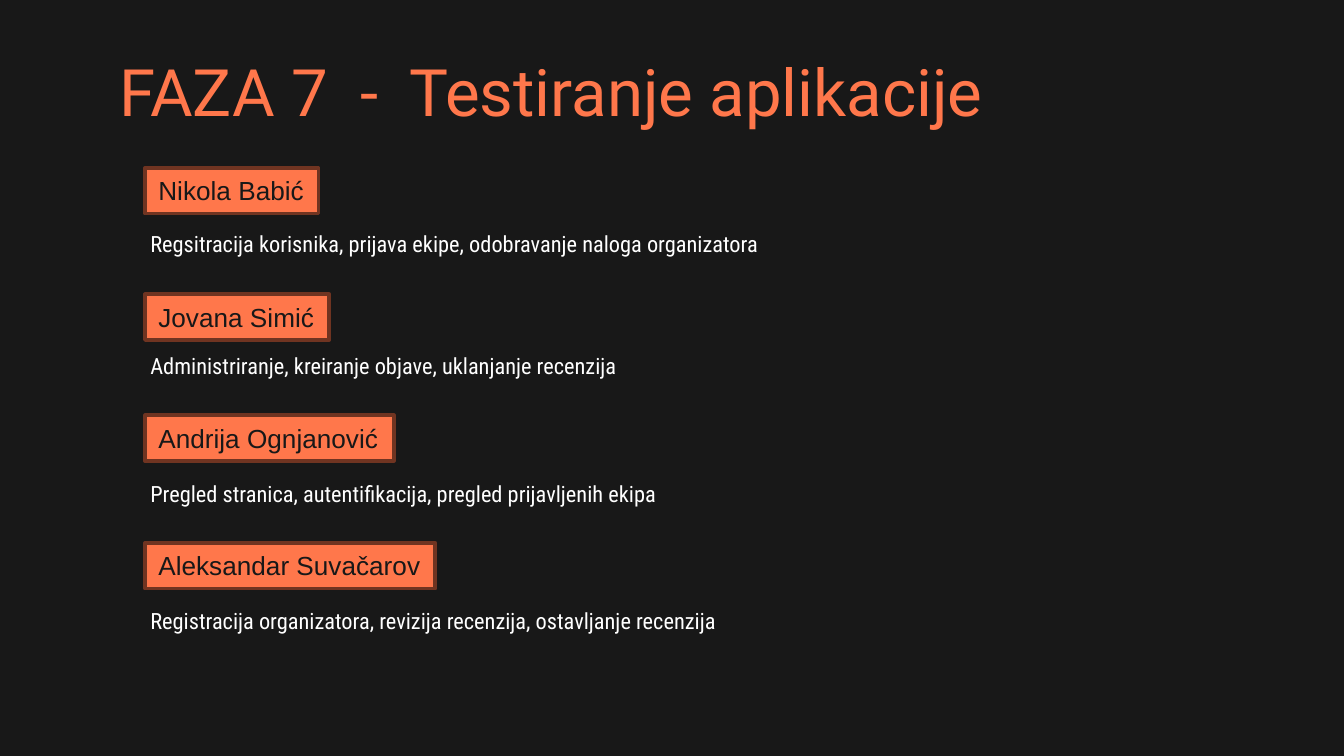
from pptx import Presentation
from pptx.dml.color import RGBColor
from pptx.enum import shapes, text
from pptx.util import Inches, Pt

ORANGE, BROWN, DARK, WHITE = "FF774B", "703421", "181818", "FFFFFF"

# name, tag width, tag top, task top, task
TEAM = [
    ("Nikola Babić", 1.29, 1.25, 1.66,
     "Regsitracija korisnika, prijava ekipe, odobravanje naloga organizatora"),
    ("Jovana Simić", 1.37, 2.19, 2.57,
     "Administriranje, kreiranje objave, uklanjanje recenzija"),
    ("Andrija Ognjanović", 1.85, 3.09, 3.52,
     "Pregled stranica, autentifikacija, pregled prijavljenih ekipa"),
    ("Aleksandar Suvačarov", 2.16, 4.04, 4.47,
     "Registracija organizatora, revizija recenzija, ostavljanje recenzija"),
]


def color(code):
    return RGBColor.from_string(code)


def write(shape, words, size, font, ink, wrap=True, grow=True, middle=False):
    frame = shape.text_frame
    frame.word_wrap = wrap
    if grow:
        frame.auto_size = text.MSO_AUTO_SIZE.SHAPE_TO_FIT_TEXT
    frame.vertical_anchor = text.MSO_ANCHOR.MIDDLE if middle else text.MSO_ANCHOR.TOP
    para = frame.paragraphs[0]
    para.alignment = text.PP_ALIGN.LEFT
    run = para.add_run()
    run.text = words
    run.font.size = Pt(size)
    run.font.name = font
    run.font.color.rgb = color(ink)


def add_title(slide, box, words):
    title = slide.shapes.add_textbox(*map(Inches, box))
    frame = title.text_frame
    frame.margin_top = frame.margin_bottom = Inches(0.1)
    write(title, words, 35, "Roboto", ORANGE, grow=False, middle=True)


def add_tag(slide, box, name):
    tag = slide.shapes.add_shape(shapes.MSO_SHAPE.RECTANGLE, *map(Inches, box))
    tag.shadow.inherit = False
    tag.fill.solid()
    tag.fill.fore_color.rgb = color(ORANGE)
    tag.line.color.rgb = color(BROWN)
    tag.line.width = Pt(2)
    write(tag, name, 14, "Arial", DARK, wrap=False)


def add_task(slide, box, words):
    task = slide.shapes.add_textbox(*map(Inches, box))
    write(task, words, 12, "Roboto Condensed", WHITE)


def add_team(slide, left, width):
    for name, wide, top, below, task in TEAM:
        add_tag(slide, (left + 0.06, top, wide, 0.34), name)
        add_task(slide, (left, below, width, 0.3), task)


def main():
    deck = Presentation()
    deck.slide_width = Inches(10)
    deck.slide_height = deck.slide_width * 9 // 16
    slide = deck.slides.add_slide(deck.slide_layouts[6])
    slide.background.fill.solid()
    slide.background.fill.fore_color.rgb = color(DARK)
    add_title(slide, (0.79, 0.36, 8.43, 0.63), "FAZA 7  -  Testiranje aplikacije")
    add_team(slide, 1.02, 6.05)
    deck.save("out.pptx")


if __name__ == "__main__":
    main()
